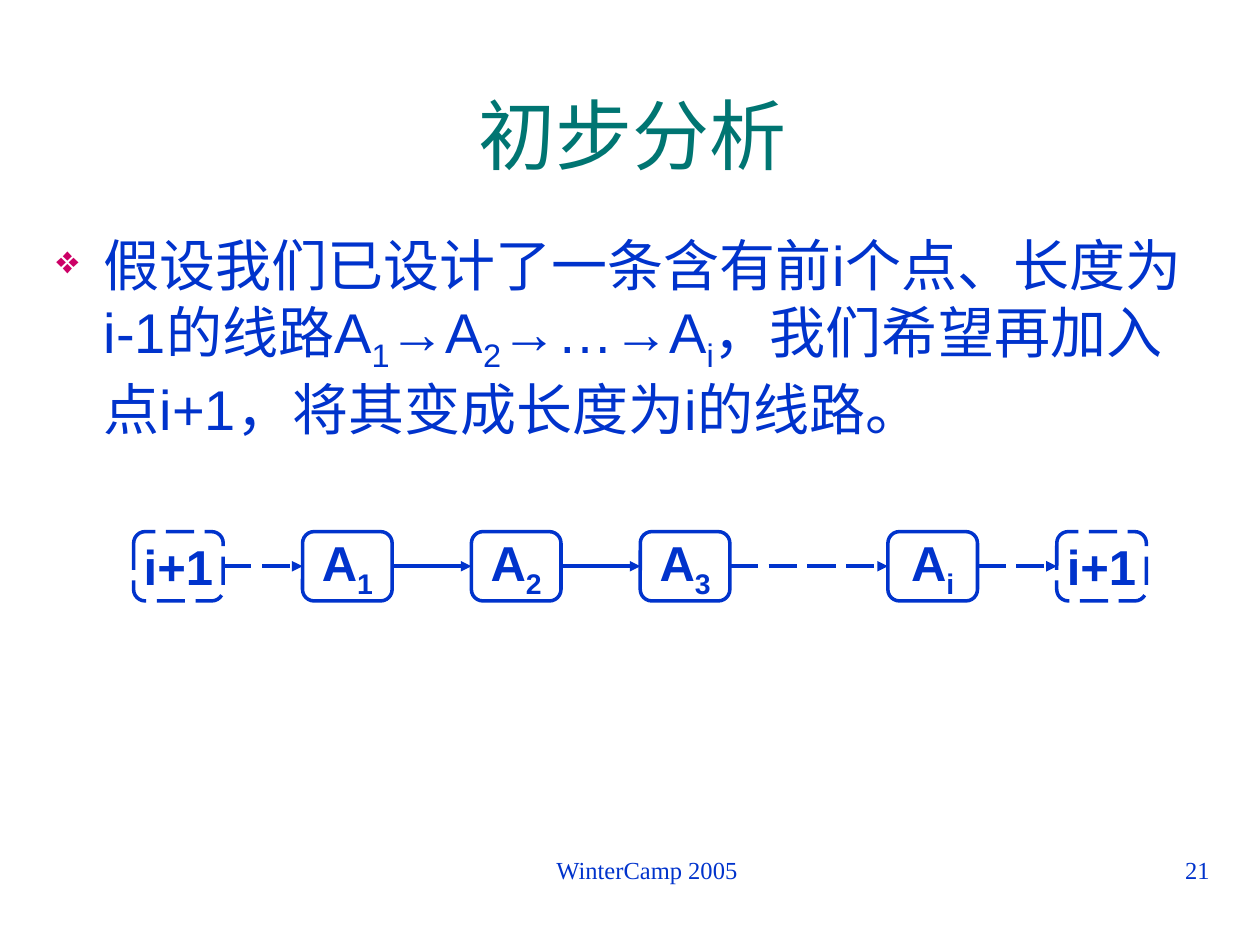
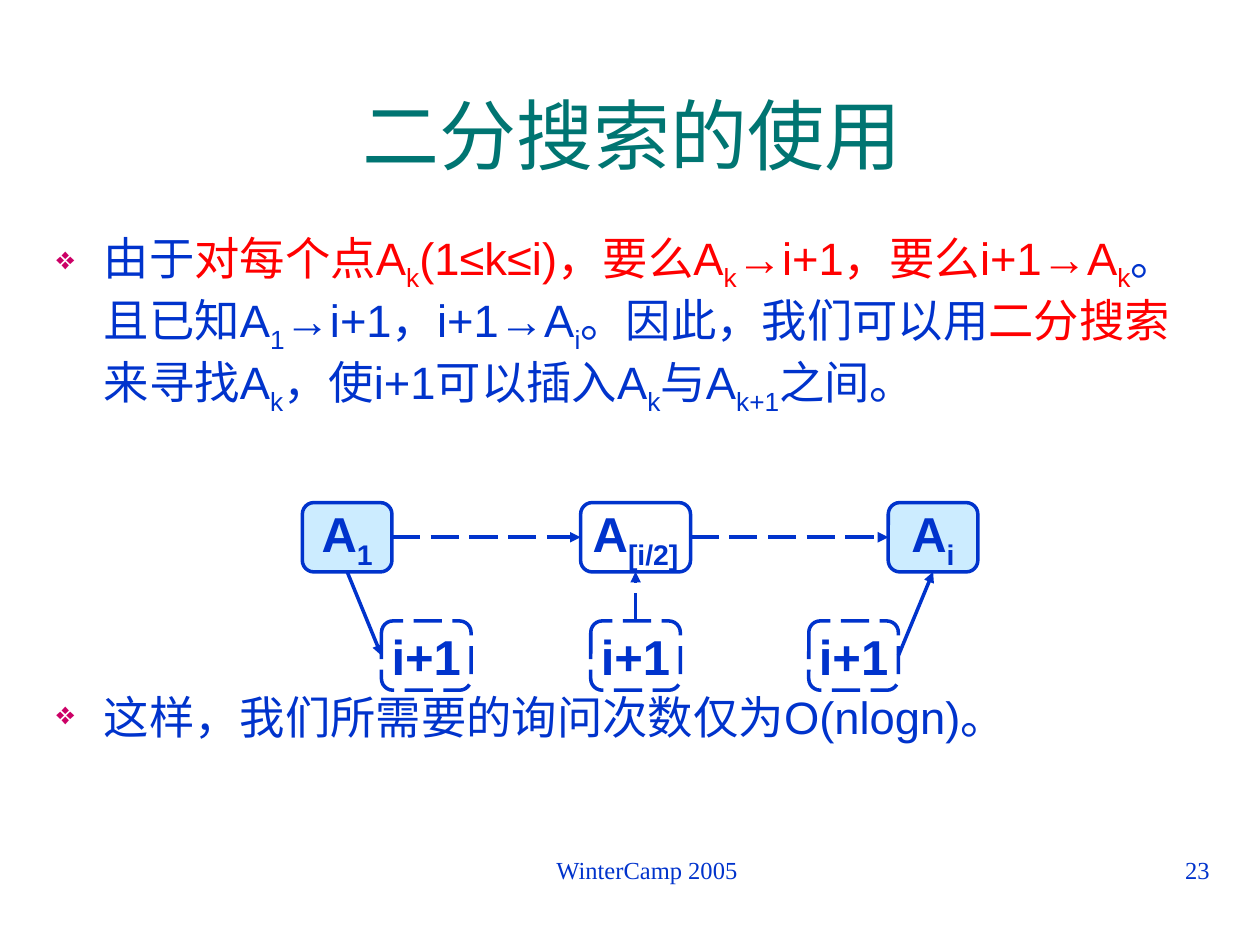
from itertools import accumulate

from lxml.etree import SubElement as Sub
from pptx import Presentation
from pptx.dml.color import RGBColor as RGB
from pptx.enum.dml import MSO_LINE_DASH_STYLE as Dash
from pptx.enum.shapes import MSO_CONNECTOR as Conn, MSO_SHAPE as Form
from pptx.enum.text import MSO_ANCHOR as Anchor, MSO_AUTO_SIZE as Fit, PP_ALIGN as Align
from pptx.oxml.ns import qn
from pptx.util import Pt

# Shared look
BLUE, TEAL, RED, PINK, PALE = "0033CC", "007572", "FF0000", "CC0066", "CCECFF"
SANS, SERIF = "Arial", "Times New Roman"
LEFT, WIDE = 25.2, 672.5
BOX_W, BOX_H = 51.2, 39.6
TOP, LEFT_SIDE, BOTTOM, RIGHT = range(4)
FOOT = "WinterCamp 2005"

# Runs are (text, marks): "s" is subscript, "r" is red
NEXT = [("i+1", "")]


def node(sub):
    return [("A", ""), (sub, "s")]


# Row of the route: equal steps, with a wider one for the skipped points
steps = accumulate([102, 96.5, 96.5, 96.5, 141.5, 96.5])
labels = [NEXT, node("1"), node("2"), node("3"), node("i"), NEXT]
ROUTE = [dict(runs=runs, mid=mid, top=303.8, dash=runs is NEXT)
         for runs, mid in zip(labels, steps)]

# Each point of the search, with the new point below it
SEARCH = [
    dict(runs=node("1"), mid=198.4, top=287.2, fill=PALE),
    dict(runs=node("[i/2]"), mid=363.2, top=287.2, wide=62.8),
    dict(runs=node("i"), mid=533.2, top=287.2, fill=PALE),
] + [dict(runs=NEXT, mid=mid, top=354.8, dash=True) for mid in (243.6, 363.2, 487.8)]

SLIDES = [
    dict(
        title="初步分析", num="21", size=32, boxes=ROUTE,
        # (space before, runs)
        paras=[(8, [
            ("假设我们已设计了一条含有前i个点、长度为i-1的线路A", ""), ("1", "s"),
            ("→A", ""), ("2", "s"), ("→…→A", ""), ("i", "s"),
            ("，我们希望再加入点i+1，将其变成长度为i的线路。", ""),
        ])],
        # (from box, side, to box, side, dashed)
        links=[(n, RIGHT, n + 1, LEFT_SIDE, n not in (1, 2)) for n in range(5)],
    ),
    dict(
        title="二分搜索的使用", num="23", size=25.9, boxes=SEARCH,
        paras=[
            (7, [
                ("由于", ""), ("对每个点A", "r"), ("k", "rs"),
                ("(1≤k≤i)，要么A", "r"), ("k", "rs"),
                ("→i+1，要么i+1→A", "r"), ("k", "rs"),
                ("。且已知A", ""), ("1", "s"), ("→i+1，i+1→A", ""), ("i", "s"),
                ("。因此，我们可以用", ""), ("二分搜索", "r"),
                ("来寻找A", ""), ("k", "s"), ("，使i+1可以插入A", ""), ("k", "s"),
                ("与A", ""), ("k+1", "s"), ("之间。", ""),
            ]),
            (156, [("这样，我们所需要的询问次数仅为O(nlogn)。", "")]),
        ],
        links=[
            (0, RIGHT, 1, LEFT_SIDE, True), (1, RIGHT, 2, LEFT_SIDE, True),
            (0, BOTTOM, 3, LEFT_SIDE, False), (4, TOP, 1, BOTTOM, True),
            (5, RIGHT, 2, BOTTOM, False),
        ],
    ),
]


def tint(code):
    return RGB.from_string(code)


def write(para, runs, size, font=SANS, color=BLUE, bold=False):
    for text, marks in runs:
        run = para.add_run()
        run.text = text
        face = run.font
        face.size, face.name, face.bold = Pt(size), font, bold
        face.color.rgb = tint(RED if "r" in marks else color)
        if "s" in marks:
            run._r.get_or_add_rPr().set("baseline", "-25000")


def indent(para, left, first=0):
    props = para._p.get_or_add_pPr()
    props.set("marL", str(Pt(left)))
    props.set("indent", str(Pt(first)))
    return props


def bullet(para):
    props = indent(para, 27, -27)
    Sub(Sub(props, qn("a:buClr")), qn("a:srgbClr"), val=PINK)
    Sub(props, qn("a:buSzPct"), val="70000")
    Sub(props, qn("a:buChar"), char="❖")


def area(slide, *place):
    frame = slide.shapes.add_textbox(*map(Pt, place)).text_frame
    frame.word_wrap = True
    return frame


def head(slide, text):
    shape = slide.shapes.title
    shape.left, shape.top, shape.width, shape.height = map(Pt, (LEFT, 31.7, WIDE, 90))
    frame = shape.text_frame
    frame.auto_size, frame.vertical_anchor = Fit.NONE, Anchor.MIDDLE
    para = frame.paragraphs[0]
    para.alignment = Align.CENTER
    write(para, [(text, "")], 44, color=TEAL)


def body(slide, paras, size):
    frame = area(slide, LEFT, 128.2, WIDE, 345.6)
    for n, (gap, runs) in enumerate(paras):
        para = frame.add_paragraph() if n else frame.paragraphs[0]
        para.space_before = Pt(gap)
        bullet(para)
        write(para, runs, size)


def foot(slide, num):
    for text, left, wide, align in ((FOOT, 247, 228.2, Align.CENTER),
                                    (num, 518.4, 180, Align.RIGHT)):
        para = area(slide, left, 485.3, wide, 37.4).paragraphs[0]
        para.alignment = align
        indent(para, 17.3)
        write(para, [(text, "")], 14, SERIF)


def stroke(line, dash):
    line.color.rgb, line.width = tint(BLUE), Pt(2)
    if dash:
        line.dash_style = Dash.LONG_DASH


def box(slide, runs, mid, top, wide=BOX_W, dash=False, fill=None):
    shape = slide.shapes.add_shape(Form.ROUNDED_RECTANGLE, Pt(mid - wide / 2),
                                   Pt(top), Pt(wide), Pt(BOX_H))
    shape.shadow.inherit = False
    if fill:
        shape.fill.solid()
        shape.fill.fore_color.rgb = tint(fill)
    else:
        shape.fill.background()
    stroke(shape.line, dash)
    frame = shape.text_frame
    frame.word_wrap, frame.vertical_anchor = False, Anchor.MIDDLE
    para = frame.paragraphs[0]
    para.alignment = Align.CENTER
    write(para, runs, 28, bold=True)
    return shape


def link(slide, start, out, end, into, dash):
    arrow = slide.shapes.add_connector(Conn.STRAIGHT, 0, 0, 0, 0)
    arrow.begin_connect(start, out)
    arrow.end_connect(end, into)
    stroke(arrow.line, dash)
    Sub(arrow.line._get_or_add_ln(), qn("a:tailEnd"), type="triangle")
    Sub(arrow._element.spPr, qn("a:effectLst"))


def main():
    deck = Presentation()
    deck.slide_width, deck.slide_height = Pt(720), Pt(540)
    for page in SLIDES:
        slide = deck.slides.add_slide(deck.slide_layouts[5])
        head(slide, page["title"])
        body(slide, page["paras"], page["size"])
        boxes = [box(slide, **part) for part in page["boxes"]]
        for a, out, b, into, dash in page["links"]:
            link(slide, boxes[a], out, boxes[b], into, dash)
        foot(slide, page["num"])
    deck.save("out.pptx")


if __name__ == "__main__":
    main()
